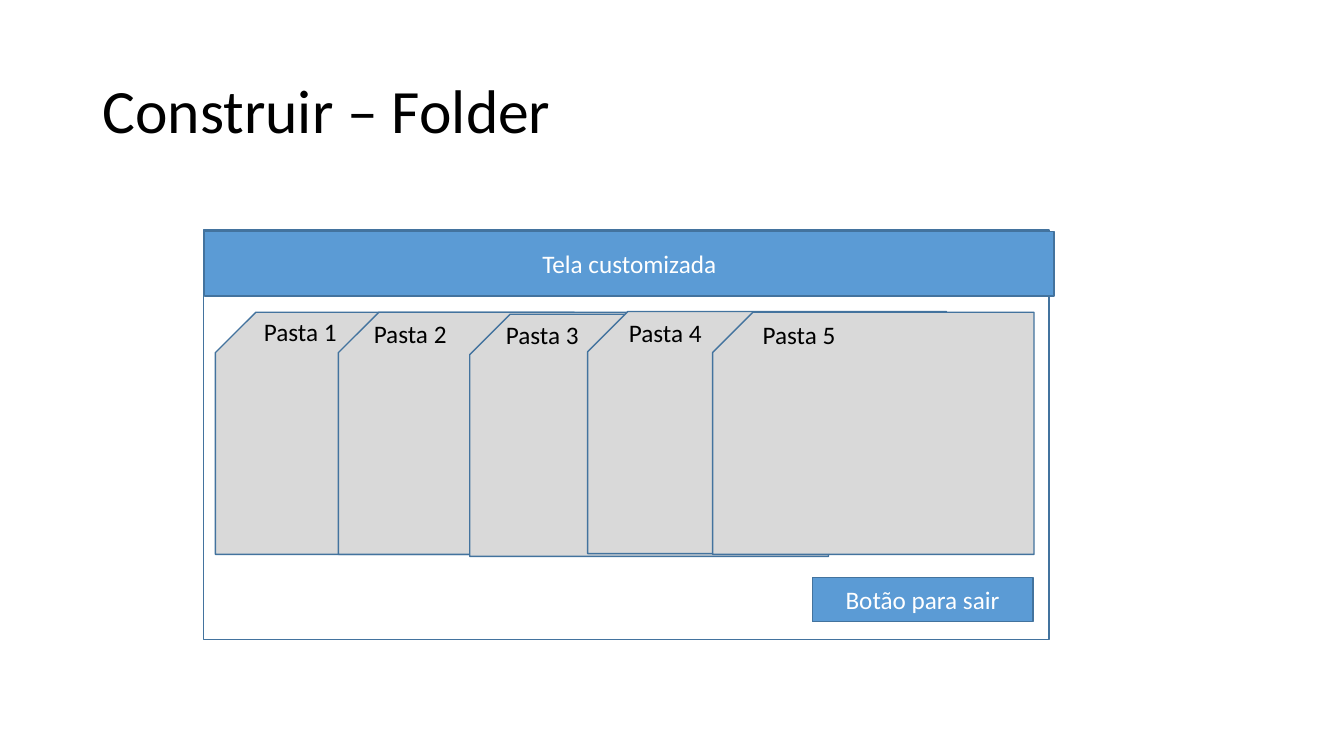
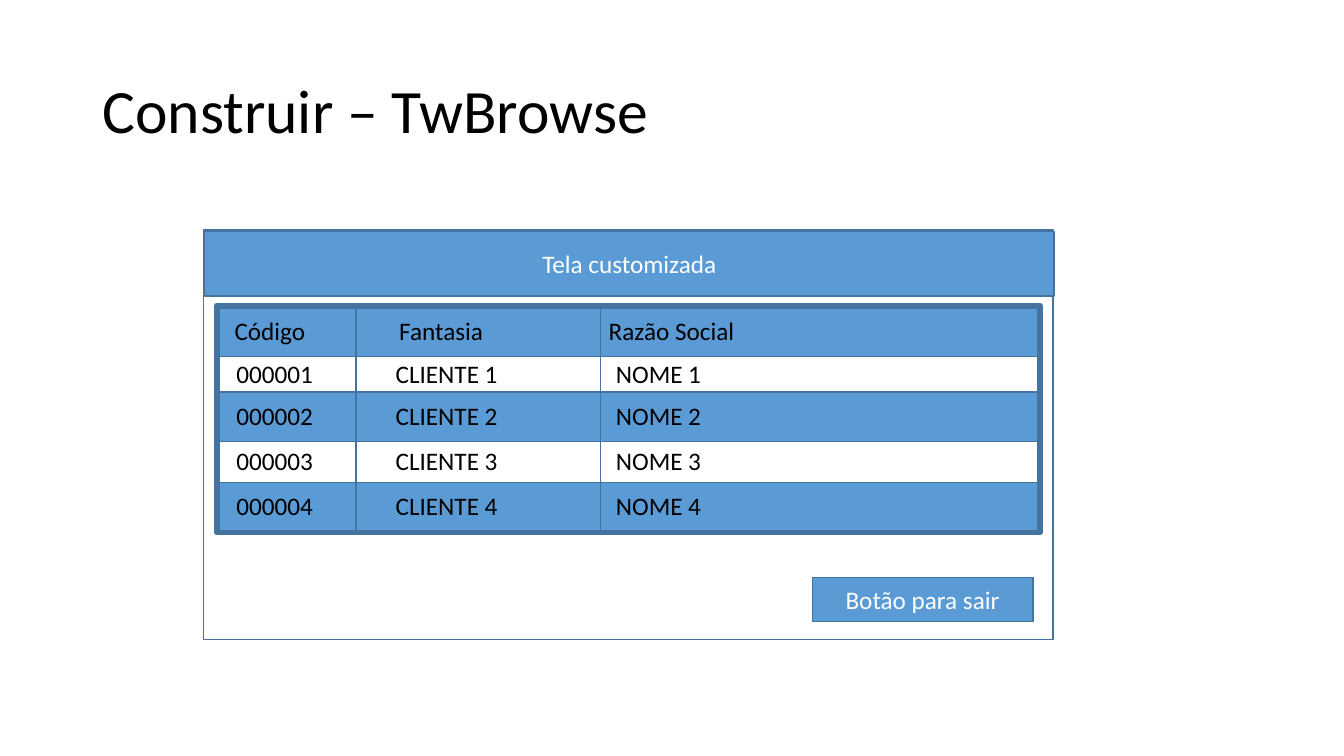
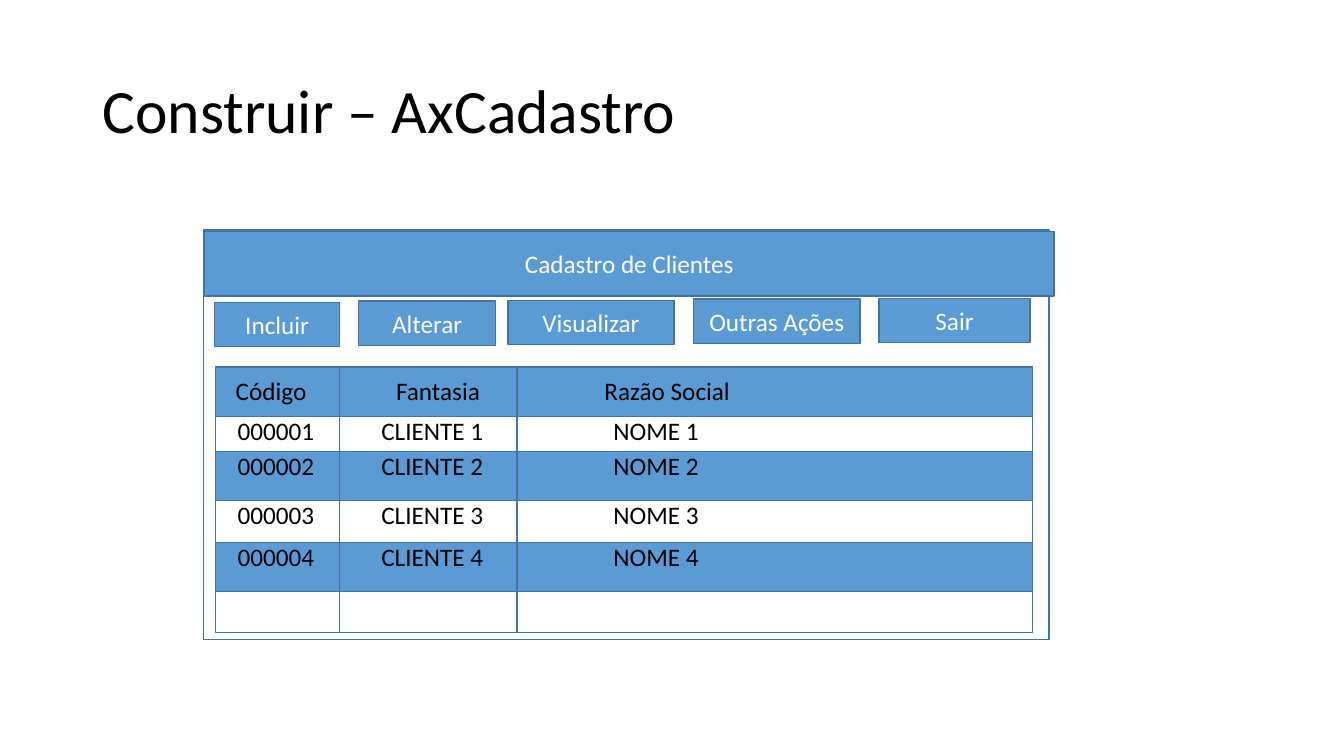
import lxml.etree
import pptx
import pptx.dml.color
import pptx.enum.shapes
import pptx.enum.text
import pptx.oxml.ns
import pptx.util

Cm = pptx.util.Cm
Pt = pptx.util.Pt
RGBColor = pptx.dml.color.RGBColor
SHAPE = pptx.enum.shapes.MSO_SHAPE
ANCHOR = pptx.enum.text.MSO_ANCHOR
ALIGN = pptx.enum.text.PP_ALIGN
qn = pptx.oxml.ns.qn

BLUE = RGBColor(0x5B, 0x9B, 0xD5)
OUTLINE = RGBColor(0x43, 0x73, 0x9E)
GRAY = RGBColor(0xD9, 0xD9, 0xD9)
WHITE = RGBColor(0xFF, 0xFF, 0xFF)
BLACK = RGBColor(0, 0, 0)
FONT = "Calibri"

# Boxes are (left, top, width, height) in centimetres.
TITLE_BOX = (2.33, 1.01, 29.21, 3.68)
WINDOW_LEFT, WINDOW_TOP, WINDOW_HEIGHT = 5.13, 5.8, 10.31
NARROW, WIDE = 21.31, 21.41
BAR_BOX = (5.16, 5.83, 21.4, 1.63)
EXIT_BOX = (20.47, 14.55, 5.56, 1.12)
BUTTON_HEIGHT = 1.12

FOLDER_WIDTH, LAST_FOLDER_WIDTH, FOLDER_HEIGHT = 9.04, 8.1, 6.1
# label, folder left, folder top, label left, label top
FOLDERS = [
    ("Pasta 1", 5.43, 7.87, 6.4, 7.85),
    ("Pasta 2", 8.53, 7.87, 9.17, 7.9),
    ("Pasta 3", 11.84, 7.92, 12.5, 7.92),
    ("Pasta 4", 14.81, 7.85, 15.6, 7.87),
    ("Pasta 5", 17.96, 7.87, 18.97, 7.92),
]
LABEL_SIZE = (2.36, 1.02)

# label, left, top, width
TOOLBAR = [
    ("Incluir", 5.41, 7.62, 3.15),
    ("Alterar", 9.04, 7.59, 3.45),
    ("Visualizar", 12.8, 7.57, 4.19),
    ("Outras Ações", 17.48, 7.54, 4.19),
    ("Sair", 22.15, 7.52, 3.81),
]

CLIENTS = [("Código", "Fantasia", "Razão Social")] + [
    (f"{number:06}", f"CLIENTE {number}", f"NOME {number}") for number in range(1, 5)
]
ROW_HEIGHTS = [1.24, 0.89, 1.24, 1.04, 1.24]

BROWSE_GRID = {
    "rows": CLIENTS,
    "corner": (5.46, 7.75),
    "widths": (3.51, 6.17, 11.07),
    "heights": ROW_HEIGHTS,
    "header_indents": (0.45, 1.09, 0.2),
    "body_indents": (0.5, 1, 0.38),
    "body_anchor": ANCHOR.MIDDLE,
}
BROWSE_FRAME = (5.46, 7.7, 20.75, 5.72)
REGISTER_GRID = {
    "rows": CLIENTS + [("", "", "")],
    "corner": (5.44, 9.25),
    "widths": (3.12, 4.47, 12.98),
    "heights": ROW_HEIGHTS + [1.04],
    "header_indents": (0.5, 1.42, 2.2),
    "body_indents": (0.55, 1.05, 2.43),
    "body_anchor": ANCHOR.TOP,
}


def write(frame, text, color, size=18, align=ALIGN.LEFT):
    frame.text = text
    para = frame.paragraphs[0]
    para.alignment = align
    for font in [para.font] + [span.font for span in para.runs]:
        font.name = FONT
        font.size = Pt(size)
        font.color.rgb = color
    return para


def add_box(page, box, fill, text="", line_width=1, kind=SHAPE.RECTANGLE):
    """Add an outlined shape; a fill of None leaves it hollow."""
    shape = page.shapes.add_shape(kind, *map(Cm, box))
    shape.shadow.inherit = False
    if fill is None:
        shape.fill.background()
    else:
        shape.fill.solid()
        shape.fill.fore_color.rgb = fill
    shape.line.color.rgb = OUTLINE
    shape.line.width = Pt(line_width)
    if text:
        shape.text_frame.vertical_anchor = ANCHOR.MIDDLE
        write(shape.text_frame, text, WHITE, align=ALIGN.CENTER)
    return shape


def add_page(deck, title, bar_text, window_width):
    """Add a slide with its title and the window drawn on it."""
    page = deck.slides.add_slide(deck.slide_layouts[5])
    heading = page.shapes.title
    heading.left, heading.top, heading.width, heading.height = map(Cm, TITLE_BOX)
    heading.text_frame.vertical_anchor = ANCHOR.MIDDLE
    write(heading.text_frame, title, BLACK, size=44).line_spacing = 0.9
    add_box(page, (WINDOW_LEFT, WINDOW_TOP, window_width, WINDOW_HEIGHT), WHITE)
    add_box(page, BAR_BOX, BLUE, bar_text)
    return page


def add_exit_button(page):
    add_box(page, EXIT_BOX, BLUE, "Botão para sair")


def add_folder(page, label, folder_box, label_corner):
    folder = add_box(page, folder_box, GRAY, kind=SHAPE.SNIP_1_RECTANGLE)
    folder.element.spPr.find(qn("a:xfrm")).set("flipH", "1")
    tab = page.shapes.add_textbox(*map(Cm, label_corner + LABEL_SIZE))
    tab.text_frame.word_wrap = False
    write(tab.text_frame, label, BLACK)


def outline_cell(cell):
    properties = cell._tc.get_or_add_tcPr()
    for position, side in enumerate(("lnL", "lnR", "lnT", "lnB")):
        border = lxml.etree.Element(qn(f"a:{side}"), w=str(Pt(1)))
        fill = lxml.etree.SubElement(border, qn("a:solidFill"))
        lxml.etree.SubElement(fill, qn("a:srgbClr"), val=str(OUTLINE))
        properties.insert(position, border)


def add_grid(page, grid):
    rows, widths, heights = grid["rows"], grid["widths"], grid["heights"]
    box = grid["corner"] + (sum(widths), sum(heights))
    table = page.shapes.add_table(len(rows), len(widths), *map(Cm, box)).table
    table.first_row = table.horz_banding = False
    for column, width in zip(table.columns, widths):
        column.width = Cm(width)
    for index, (row, height, texts) in enumerate(zip(table.rows, heights, rows)):
        row.height = Cm(height)
        indents = grid["body_indents"] if index else grid["header_indents"]
        for cell, text, indent in zip(row.cells, texts, indents):
            cell.margin_left = Cm(indent)
            cell.margin_right = cell.margin_top = cell.margin_bottom = 0
            cell.vertical_anchor = grid["body_anchor"] if index else ANCHOR.MIDDLE
            cell.fill.solid()
            cell.fill.fore_color.rgb = WHITE if index % 2 else BLUE
            write(cell.text_frame, text, BLACK)
            outline_cell(cell)
    if not any(rows[-1]):
        for cell in table.rows[len(rows) - 1].cells:
            cell.fill.fore_color.rgb = WHITE


def build_folder_page(deck):
    page = add_page(deck, "Construir – Folder", "Tela customizada", NARROW)
    for label, left, top, label_left, label_top in FOLDERS:
        width = LAST_FOLDER_WIDTH if label == FOLDERS[-1][0] else FOLDER_WIDTH
        add_folder(page, label, (left, top, width, FOLDER_HEIGHT), (label_left, label_top))
    add_exit_button(page)


def build_browse_page(deck):
    page = add_page(deck, "Construir – TwBrowse", "Tela customizada", WIDE)
    add_exit_button(page)
    add_grid(page, BROWSE_GRID)
    add_box(page, BROWSE_FRAME, None, line_width=4.25)


def build_register_page(deck):
    page = add_page(deck, "Construir – AxCadastro", "Cadastro de Clientes", NARROW)
    for label, left, top, width in TOOLBAR:
        add_box(page, (left, top, width, BUTTON_HEIGHT), BLUE, label)
    add_grid(page, REGISTER_GRID)


def main():
    deck = pptx.Presentation()
    deck.slide_width, deck.slide_height = Cm(33.87), Cm(19.05)
    build_folder_page(deck)
    build_browse_page(deck)
    build_register_page(deck)
    deck.save("out.pptx")


if __name__ == "__main__":
    main()
